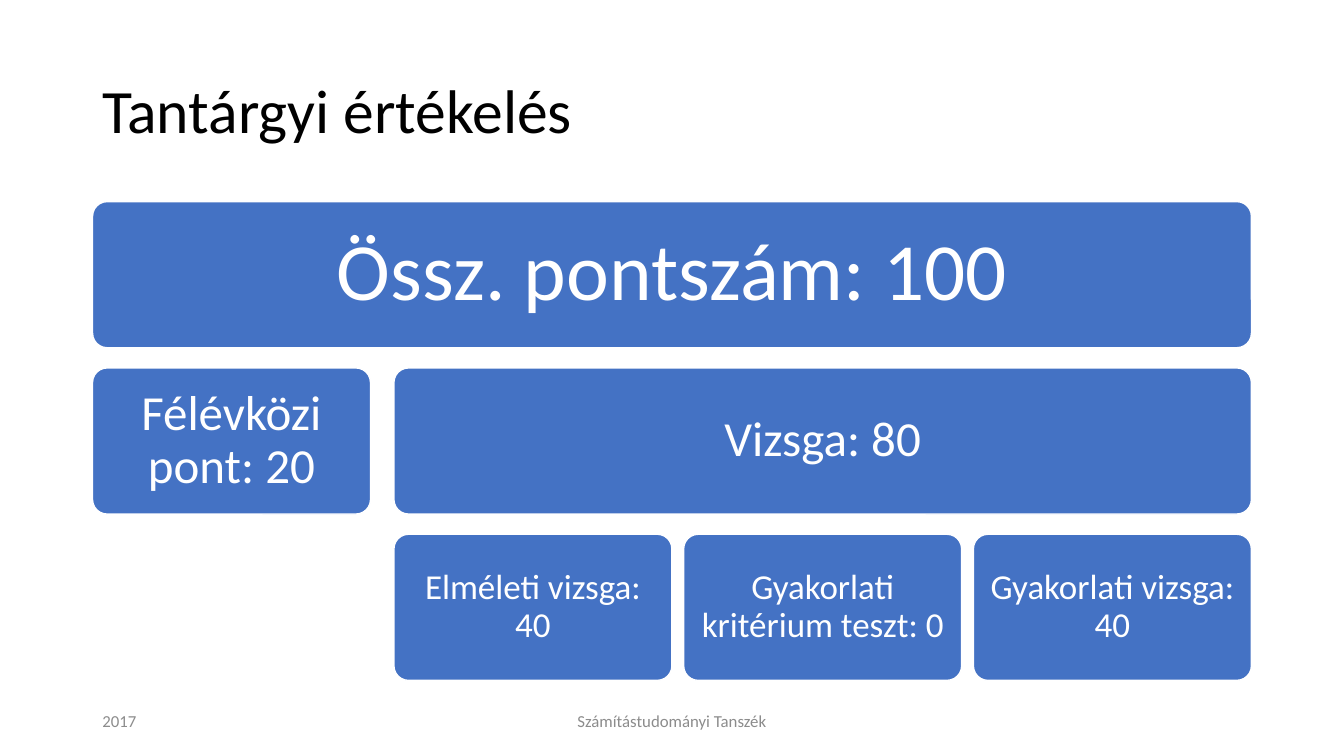
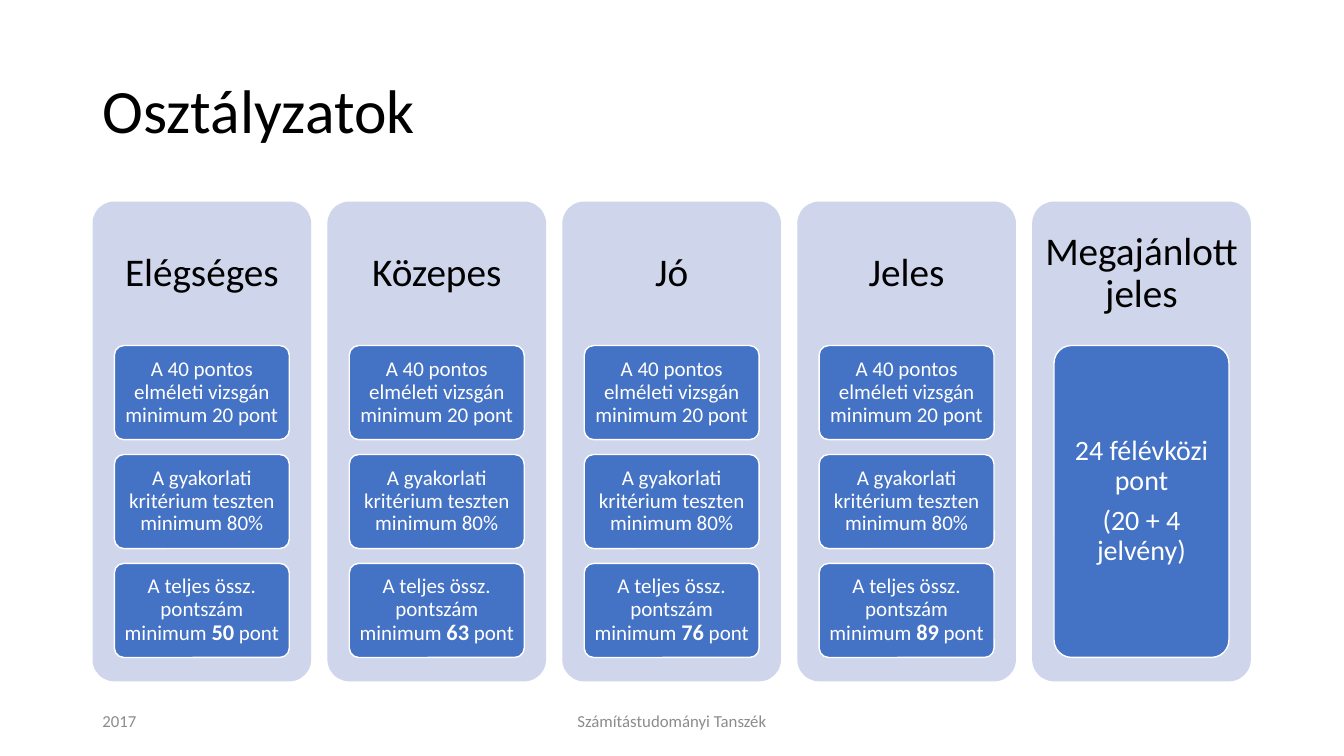
from dataclasses import dataclass

from pptx import Presentation
from pptx import util as u
from pptx.dml import color
from pptx.enum import shapes, text

COLORS = {
    "card": "4472C4",
    "panel": "CFD5EA",
    "white": "FFFFFF",
    "black": "000000",
    "footer": "8C8C8C",
}
FONT = "Calibri"
LEFT, TOP = 66.1, 144

LEAF_WIDTH, LEAF_GAP, BRANCH_GAP = 198.6, 8.35, 16.7
ROW_HEIGHT, ROW_PITCH = 104.4, 118.8

COLUMN_WIDTH, COLUMN_PITCH, COLUMN_HEIGHT = 156.2, 167.8, 342.7
HEADER_HEIGHT = 0.3 * COLUMN_HEIGHT
RULE_HEIGHT, RULE_PITCH = 67.2, 77.8


@dataclass(frozen=True)
class Box:
    left: float
    top: float
    width: float
    height: float

    def lengths(self) -> tuple:
        return tuple(u.Pt(value) for value in (self.left, self.top, self.width, self.height))


@dataclass(frozen=True)
class Run:
    text: str
    size: float
    bold: bool = False


@dataclass(frozen=True)
class Style:
    color: str
    align: text.PP_ALIGN = text.PP_ALIGN.CENTER
    line_spacing: float = 1.0
    space_after: float = 0
    inset_x: float = 7.2
    inset_y: float = 3.6


@dataclass(frozen=True)
class Card:
    box: Box
    paragraphs: list[list[Run]]
    inset_x: float = 0.3
    inset_y: float = 0.3


@dataclass(frozen=True)
class Grade:
    name: str
    minimum: str


TITLE_BOX = Box(66, 28.8, 828, 104.4)
TITLE_STYLE = Style("black", text.PP_ALIGN.LEFT, 0.9)
FOOTERS = [
    (Box(66, 500.4, 216, 28.8), "2017", text.PP_ALIGN.LEFT),
    (Box(318, 500.4, 324, 28.8), "Számítástudományi Tanszék", text.PP_ALIGN.CENTER),
]
GRADES = [
    Grade("Elégséges", "50"),
    Grade("Közepes", "63"),
    Grade("Jó", "76"),
    Grade("Jeles", "89"),
]


def rgb(name: str) -> color.RGBColor:
    return color.RGBColor.from_string(COLORS[name])


def write_text(shape, paragraphs: list[list[Run]], style: Style) -> None:
    frame = shape.text_frame
    frame.word_wrap = True
    frame.vertical_anchor = text.MSO_ANCHOR.MIDDLE
    frame.margin_left = frame.margin_right = u.Pt(style.inset_x)
    frame.margin_top = frame.margin_bottom = u.Pt(style.inset_y)
    for index, runs in enumerate(paragraphs):
        paragraph = frame.add_paragraph() if index else frame.paragraphs[0]
        paragraph.alignment = style.align
        paragraph.line_spacing = style.line_spacing
        paragraph.space_after = u.Pt(style.space_after)
        for item in runs:
            run = paragraph.add_run()
            run.text = item.text
            run.font.name = FONT
            run.font.size = u.Pt(item.size)
            run.font.bold = item.bold
            run.font.color.rgb = rgb(style.color)


def add_text(slide, box: Box, paragraphs: list[list[Run]], style: Style) -> None:
    write_text(slide.shapes.add_textbox(*box.lengths()), paragraphs, style)


def diagram_style(size: float, color_name: str, inset_x: float = 0.3, inset_y: float = 0.3) -> Style:
    return Style(
        color_name,
        line_spacing=0.9,
        space_after=0.35 * size,
        inset_x=inset_x * size,
        inset_y=inset_y * size,
    )


def add_rounded(slide, box: Box, fill: str):
    shape = slide.shapes.add_shape(shapes.MSO_SHAPE.ROUNDED_RECTANGLE, *box.lengths())
    shape.adjustments[0] = 0.1
    shape.shadow.inherit = False
    shape.fill.solid()
    shape.fill.fore_color.rgb = rgb(fill)
    shape.line.fill.background()
    return shape


def add_card(slide, card: Card) -> None:
    shape = add_rounded(slide, card.box, "card")
    shape.line.color.rgb = rgb("white")
    shape.line.width = u.Pt(1)
    size = card.paragraphs[0][0].size
    write_text(shape, card.paragraphs, diagram_style(size, "white", card.inset_x, card.inset_y))


def add_base_slide(presentation, title: str):
    slide = presentation.slides.add_slide(presentation.slide_layouts[6])
    add_text(slide, TITLE_BOX, [[Run(title, 44)]], TITLE_STYLE)
    for box, label, align in FOOTERS:
        add_text(slide, box, [[Run(label, 12)]], Style("footer", align))
    return slide


def score_card(left: float, row: int, leaves: int, label: str, size: float, extra: float = 0) -> Card:
    width = leaves * LEAF_WIDTH + (leaves - 1) * LEAF_GAP + extra
    return Card(Box(left, TOP + row * ROW_PITCH, width, ROW_HEIGHT), [[Run(label, size)]])


def build_scores(presentation) -> None:
    slide = add_base_slide(presentation, "Tantárgyi értékelés")
    exam_left = LEFT + LEAF_WIDTH + BRANCH_GAP
    cards = [
        score_card(LEFT, 0, 4, "Össz. pontszám: 100", 58, BRANCH_GAP - LEAF_GAP),
        score_card(LEFT, 1, 1, "Félévközi pont: 20", 35),
        score_card(exam_left, 1, 3, "Vizsga: 80", 35),
    ]
    exams = ["Elméleti vizsga: 40", "Gyakorlati kritérium teszt: 0", "Gyakorlati vizsga: 40"]
    for index, label in enumerate(exams):
        left = exam_left + index * (LEAF_WIDTH + LEAF_GAP)
        cards.append(score_card(left, 2, 1, label, 25))
    for card in cards:
        add_card(slide, card)


def add_column(slide, index: int, name: str, bodies: list[list[list[Run]]], height: float) -> None:
    left = LEFT + index * COLUMN_PITCH
    add_rounded(slide, Box(left, TOP, COLUMN_WIDTH, COLUMN_HEIGHT), "panel")
    header = Box(left, TOP, COLUMN_WIDTH, HEADER_HEIGHT)
    add_text(slide, header, [[Run(name, 28)]], diagram_style(28, "black"))
    for row, paragraphs in enumerate(bodies):
        top = TOP + HEADER_HEIGHT + row * RULE_PITCH
        box = Box(left + 0.1 * COLUMN_WIDTH, top, 0.8 * COLUMN_WIDTH, height)
        add_card(slide, Card(box, paragraphs, 0.2, 0.15))


def grade_rules(grade: Grade) -> list[list[list[Run]]]:
    return [
        [[Run("A 40 pontos elméleti vizsgán minimum 20 pont", 15)]],
        [[Run("A gyakorlati kritérium teszten minimum 80%", 15)]],
        [[
            Run("A teljes össz. pontszám minimum ", 15),
            Run(grade.minimum, 16, True),
            Run(" pont", 15),
        ]],
    ]


def build_grades(presentation) -> None:
    slide = add_base_slide(presentation, "Osztályzatok")
    for index, grade in enumerate(GRADES):
        add_column(slide, index, grade.name, grade_rules(grade), RULE_HEIGHT)
    offer = [[Run("24 félévközi pont", 20)], [Run("(20 + 4 jelvény)", 20)]]
    add_column(slide, len(GRADES), "Megajánlott jeles", [offer], 2 * RULE_PITCH + RULE_HEIGHT)


def main() -> None:
    presentation = Presentation()
    presentation.slide_width = u.Pt(960)
    presentation.slide_height = u.Pt(540)
    build_scores(presentation)
    build_grades(presentation)
    presentation.save("out.pptx")


if __name__ == "__main__":
    main()
